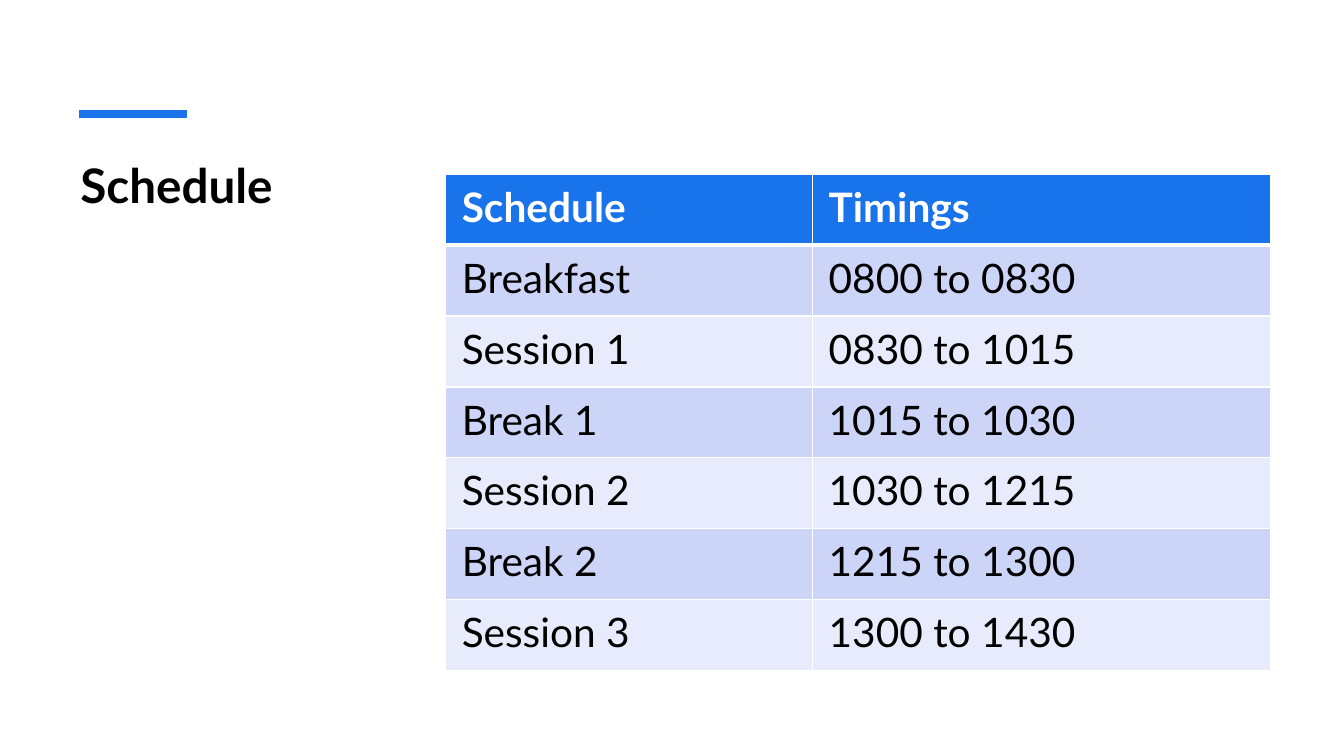
from dataclasses import dataclass

import pptx
import pptx.dml.color
import pptx.enum.shapes
import pptx.enum.text
import pptx.oxml
import pptx.oxml.ns
import pptx.util


@dataclass(frozen=True)
class Theme:
    font: str = "Lato"
    accent: str = "1973EB"
    ink: str = "000000"
    paper: str = "FFFFFF"
    bands: tuple[str, str] = ("CCD5F7", "E8EBFB")
    title_size: int = 34
    table_size: int = 29
    accent_width: int = 6
    rule_width: int = 1
    header_rule_width: int = 3


@dataclass(frozen=True)
class Slot:
    activity: str
    timing: str


THEME = Theme()
HEADER = Slot("Schedule", "Timings")
SLOTS = [
    Slot("Breakfast", "0800 to 0830"),
    Slot("Session 1", "0830 to 1015"),
    Slot("Break 1", "1015 to 1030"),
    Slot("Session 2", "1030 to 1215"),
    Slot("Break 2", "1215 to 1300"),
    Slot("Session 3", "1300 to 1430"),
]
COLUMN_SHARES = (27.3, 34.05)
TABLE_HEIGHT_SHARE = 65.6

deck = pptx.Presentation()
deck.slide_width = pptx.util.Inches(13.33)
deck.slide_height = pptx.util.Inches(7.5)
schedule_slide = deck.slides.add_slide(deck.slide_layouts[6])


def across(percent: float) -> int:
    """Length as a percentage of the slide width."""
    return round(deck.slide_width * percent / 100)


def down(percent: float) -> int:
    """Length as a percentage of the slide height."""
    return round(deck.slide_height * percent / 100)


def colour(code: str) -> pptx.dml.color.RGBColor:
    return pptx.dml.color.RGBColor.from_string(code)


def write(frame, words: str, size: int, ink: str, bold: bool) -> None:
    paragraph = frame.paragraphs[0]
    run = paragraph.add_run()
    run.text = words
    formats = {"name": THEME.font, "size": pptx.util.Pt(size), "bold": bold}
    for attribute, value in formats.items():
        setattr(run.font, attribute, value)
    run.font.color.rgb = colour(ink)


def add_borders(cell, bottom_width: int) -> None:
    widths = dict.fromkeys(("lnL", "lnR", "lnT"), THEME.rule_width)
    widths["lnB"] = bottom_width
    properties = cell._tc.get_or_add_tcPr()
    for side, width in widths.items():
        properties.append(pptx.oxml.parse_xml(
            f'<a:{side} {pptx.oxml.ns.nsdecls("a")} w="{pptx.util.Pt(width)}">'
            f'<a:solidFill><a:srgbClr val="{THEME.paper}"/></a:solidFill></a:{side}>'))


def fill_row(table, row: int, slot: Slot) -> None:
    is_header = row == 0
    background = THEME.accent if is_header else THEME.bands[(row - 1) % 2]
    ink = THEME.paper if is_header else THEME.ink
    # The rule under the header is shared by the first two rows
    bottom = THEME.header_rule_width if is_header else THEME.rule_width
    margins = {"margin_left": across(1.2), "margin_right": across(1.2),
               "margin_top": down(1.07), "margin_bottom": down(1.07)}
    for column, words in enumerate((slot.activity, slot.timing)):
        cell = table.cell(row, column)
        for attribute, value in margins.items():
            setattr(cell, attribute, value)
        add_borders(cell, bottom)
        if row == 1:
            top = cell._tc.tcPr.find(pptx.oxml.ns.qn("a:lnT"))
            top.set("w", str(pptx.util.Pt(THEME.header_rule_width)))
        cell.fill.solid()
        cell.fill.fore_color.rgb = colour(background)
        write(cell.text_frame, words, THEME.table_size, ink, is_header)


def add_title() -> None:
    title = schedule_slide.shapes.add_textbox(
        across(5.25), down(20), across(21.75), down(60.53))
    formats = {"word_wrap": True, "vertical_anchor": pptx.enum.text.MSO_ANCHOR.TOP}
    for attribute, value in formats.items():
        setattr(title.text_frame, attribute, value)
    write(title.text_frame, "Schedule", THEME.title_size, THEME.ink, True)


def add_accent() -> None:
    accent = schedule_slide.shapes.add_connector(
        pptx.enum.shapes.MSO_CONNECTOR.STRAIGHT,
        across(5.88), down(15.07), across(13.88), down(15.07))
    accent.line.color.rgb = colour(THEME.accent)
    accent.line.width = pptx.util.Pt(THEME.accent_width)
    accent._element.spPr.append(
        pptx.oxml.parse_xml(f'<a:effectLst {pptx.oxml.ns.nsdecls("a")}/>'))


def add_schedule() -> None:
    slots = [HEADER, *SLOTS]
    schedule = schedule_slide.shapes.add_table(
        len(slots), len(COLUMN_SHARES), across(33.16), down(23.07),
        across(sum(COLUMN_SHARES)), down(TABLE_HEIGHT_SHARE)).table
    for column, share in zip(schedule.columns, COLUMN_SHARES):
        column.width = across(share)
    for row, slot in enumerate(slots):
        fill_row(schedule, row, slot)


def main() -> None:
    # Heading with its accent line
    add_title()
    add_accent()
    # Timetable
    add_schedule()
    deck.save("out.pptx")


if __name__ == "__main__":
    main()
